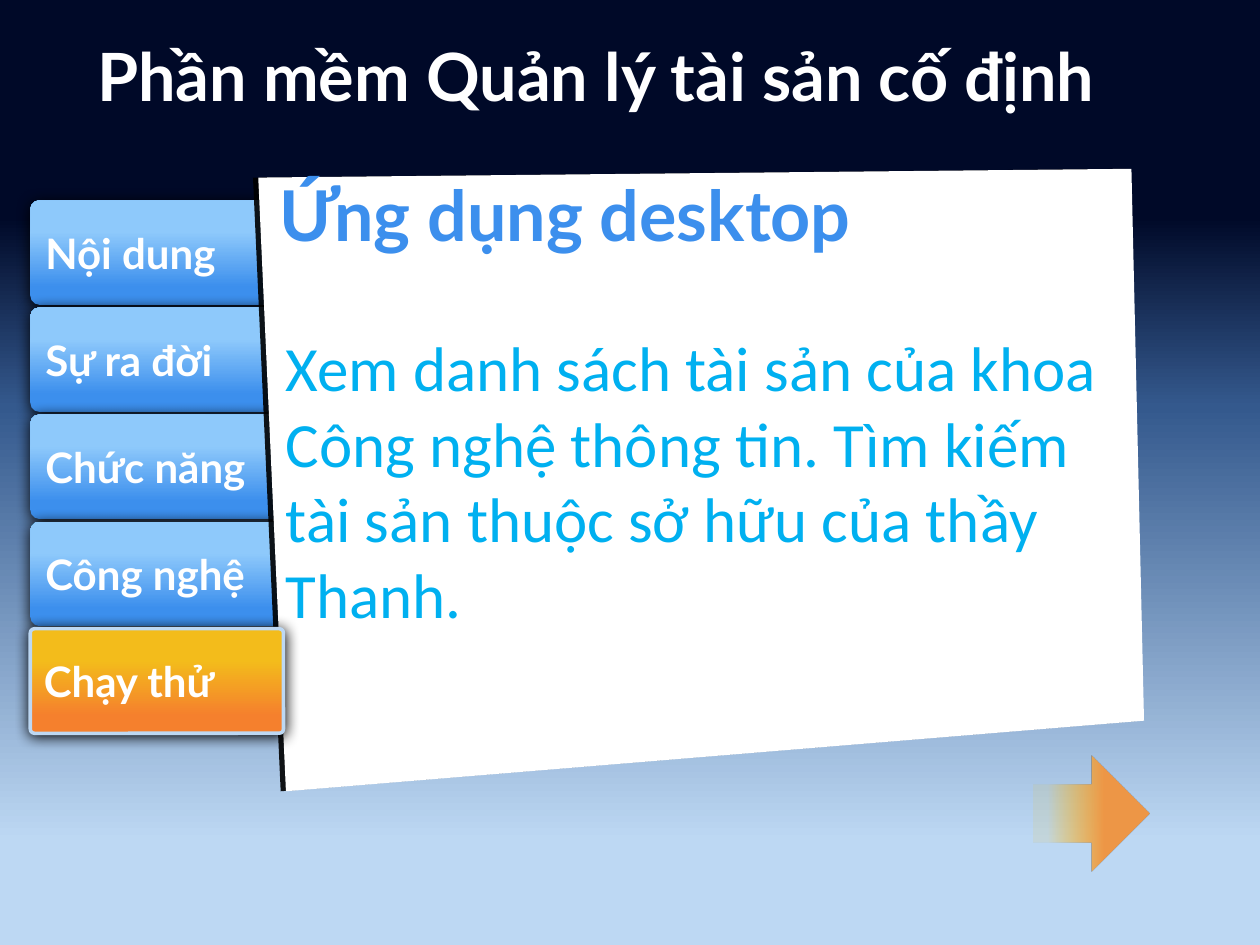
from dataclasses import dataclass

import lxml.etree
import pptx
import pptx.dml.color
import pptx.enum.shapes
import pptx.enum.text
import pptx.oxml.ns
import pptx.util

Inches, Pt = pptx.util.Inches, pptx.util.Pt
RGB = pptx.dml.color.RGBColor.from_string
qn = pptx.oxml.ns.qn
MSO_SHAPE = pptx.enum.shapes.MSO_SHAPE
ANCHOR = pptx.enum.text.MSO_ANCHOR


@dataclass(frozen=True)
class Theme:
    white: str = "FFFFFF"
    pale: str = "BDD8F3"
    heading: str = "3C8FED"
    body: str = "00B0F0"
    sky: tuple = ((23, "000928", 100), (43, "34598D", 100), (89, "BDD8F3", 100))
    blue: tuple = ((17, "3C8FED", 100), (70, "8EC9FB", 100))
    orange: tuple = ((17, "F5802D", 100), (70, "F3BC1B", 100))
    fade: tuple = ((39, "EF9747", 100), (87, "FFC000", 10))
    display_font: str = "Lato"
    body_font: str = "Calibri"
    title_size: int = 38
    heading_size: int = 40
    body_size: int = 36
    tab_size: int = 24


theme = Theme()


def set_gradient(fill, element, stops, angle):
    """Fill with (position %, colour, opacity %) stops at a counter-clockwise angle."""
    fill.gradient()
    fill.gradient_angle = angle
    stop_list = next(element.iter(qn("a:gsLst")))
    for old_stop in list(stop_list):
        stop_list.remove(old_stop)
    for position, colour, opacity in stops:
        stop = lxml.etree.SubElement(stop_list, qn("a:gs"), pos=str(position * 1000))
        tint = lxml.etree.SubElement(stop, qn("a:srgbClr"), val=colour)
        if opacity < 100:
            lxml.etree.SubElement(tint, qn("a:alpha"), val=str(opacity * 1000))


def set_shadow(shape, blur, distance, direction, opacity):
    """Give the shape a black outer shadow; lengths in points, angle in degrees."""
    shape.shadow.inherit = False
    effects = next(shape._element.iter(qn("a:effectLst")))
    shadow = lxml.etree.SubElement(
        effects, qn("a:outerShdw"), blurRad=str(int(Pt(blur))), dist=str(int(Pt(distance))),
        dir=str(direction * 60000), algn="ctr", rotWithShape="0")
    black = lxml.etree.SubElement(shadow, qn("a:srgbClr"), val="000000")
    lxml.etree.SubElement(black, qn("a:alpha"), val=str(opacity * 1000))


deck = pptx.Presentation()
deck.slide_width, deck.slide_height = Inches(10), Inches(7.5)
slide = deck.slides.add_slide(deck.slide_layouts[5])
set_gradient(slide.background.fill, slide._element, theme.sky, 270)

# Navigation tabs, with the panel slipped in beneath the active one
tab_labels = ["Nội dung", "Sự ra đời", "Chức năng", "Công nghệ", "Chạy thử"]
active_label = tab_labels[-1]
panel_corners = [(2.05, 1.41), (8.98, 1.34), (9.08, 5.72), (2.27, 6.28)]
tab_top, tab_pitch = 1.59, 0.85

for index, label in enumerate(tab_labels):
    active = label == active_label
    if active:
        corners = [(Inches(x), Inches(y)) for x, y in panel_corners]
        outline = slide.shapes.build_freeform(*corners[0])
        outline.add_line_segments(corners[1:], close=True)
        panel = outline.convert_to_shape()
        panel.fill.solid()
        panel.fill.fore_color.rgb = RGB(theme.white)
        panel.line.fill.background()
        set_shadow(panel, 0, 3, 180, 90)

    tab = slide.shapes.add_shape(
        MSO_SHAPE.ROUNDED_RECTANGLE, Inches(0.24), Inches(tab_top + index * tab_pitch),
        Inches(2.01), Inches(0.83))
    tab.adjustments[0] = 0.04 if active else 0.09
    set_gradient(tab.fill, tab._element, theme.orange if active else theme.blue, 90)
    if active:
        tab.line.color.rgb = RGB(theme.pale)
        tab.line.width = Pt(2)
    else:
        tab.line.fill.background()
    set_shadow(tab, 8.5, 1, 90, 100)
    tab.text_frame.text = label
    tab.text_frame.vertical_anchor = ANCHOR.MIDDLE

    tab_text = tab.text_frame.paragraphs[0]
    tab_text.alignment = pptx.enum.text.PP_ALIGN.LEFT
    tab_text.font.name = theme.display_font
    tab_text.font.size = Pt(theme.tab_size)
    tab_text.font.bold = True
    tab_text.font.color.rgb = RGB(theme.white)

# Title, heading and description
title = slide.shapes.title
title.left, title.top, title.width, title.height = map(Inches, (0.67, 0.23, 8.73, 0.74))
heading = slide.shapes.add_textbox(Inches(2.12), Inches(1.31), Inches(7.47), Inches(0.77))
description = slide.shapes.add_textbox(Inches(2.17), Inches(2.56), Inches(6.83), Inches(2.52))

texts = [
    (title, "Phần mềm Quản lý tài sản cố định",
     theme.display_font, theme.title_size, theme.white, True),
    (heading, "Ứng dụng desktop",
     theme.display_font, theme.heading_size, theme.heading, True),
    (description, "Xem danh sách tài sản của khoa Công nghệ thông tin. "
     "Tìm kiếm tài sản thuộc sở hữu của thầy Thanh.",
     theme.body_font, theme.body_size, theme.body, False),
]
for box, wording, font_name, size, colour, bold in texts:
    frame = box.text_frame
    frame.text = wording
    frame.word_wrap = True
    frame.auto_size = pptx.enum.text.MSO_AUTO_SIZE.NONE
    frame.vertical_anchor = ANCHOR.TOP
    paragraph = frame.paragraphs[0]
    paragraph.alignment = pptx.enum.text.PP_ALIGN.LEFT
    paragraph.font.name = font_name
    paragraph.font.size = Pt(size)
    paragraph.font.bold = bold
    paragraph.font.color.rgb = RGB(colour)

next_arrow = slide.shapes.add_shape(
    MSO_SHAPE.RIGHT_ARROW, Inches(8.2), Inches(6), Inches(0.92), Inches(0.92))
set_gradient(next_arrow.fill, next_arrow._element, theme.fade, 180)
next_arrow.line.fill.background()
next_arrow.shadow.inherit = False

deck.save("out.pptx")
